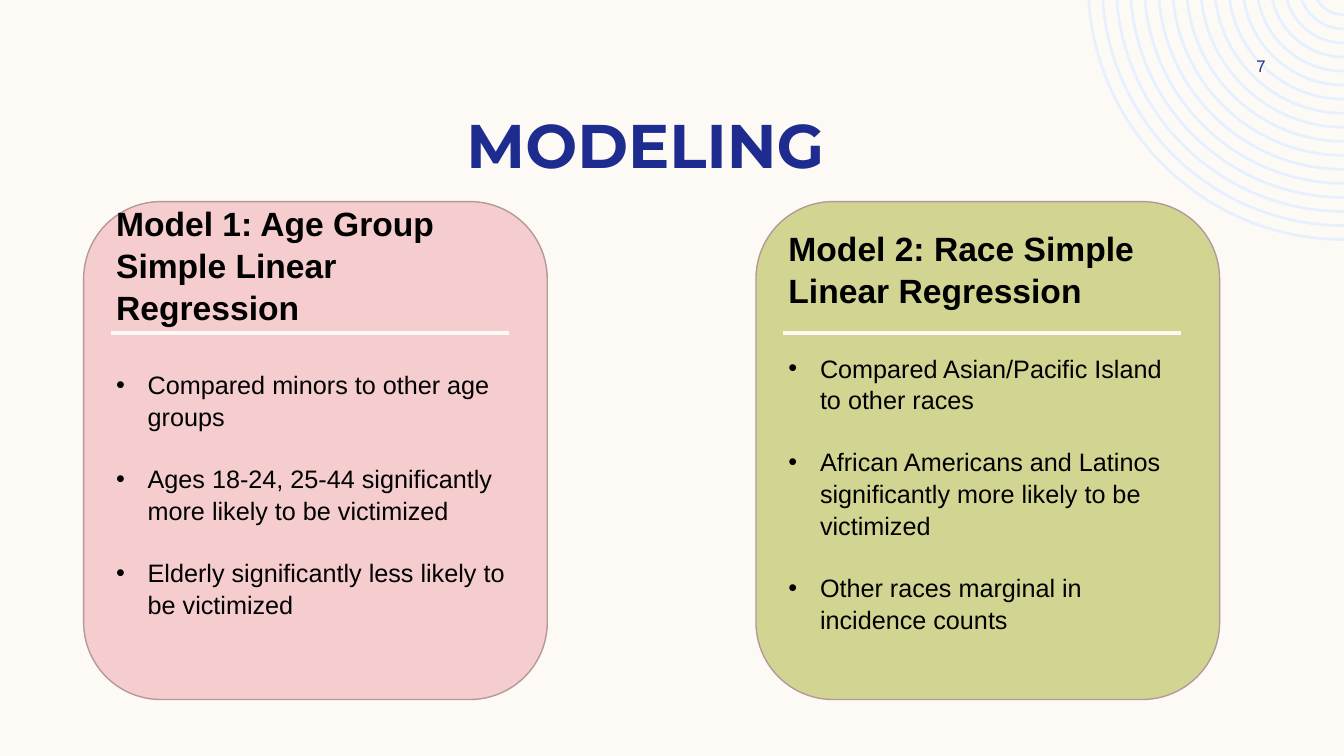
"""Build the MODELING slide comparing two regression models."""
import math

import pptx
import pptx.dml.color
import pptx.enum.shapes
import pptx.enum.text
import pptx.oxml
import pptx.oxml.ns
import pptx.util

Pt = pptx.util.Pt
PP_ALIGN = pptx.enum.text.PP_ALIGN
MIDDLE = pptx.enum.text.MSO_ANCHOR.MIDDLE
DRAWING_NS = pptx.oxml.ns.nsdecls("a")

TITLE = "MODELING"
PAGE_NUMBER = "7"
MODELS = [
    {
        "heading": "Model 1: Age Group Simple Linear Regression",
        "findings": [
            "Compared minors to other age groups",
            "Ages 18-24, 25-44 significantly more likely to be victimized",
            "Elderly significantly less likely to be victimized",
        ],
        "fill": "F5CDCE",
        "room_below": 58,
    },
    {
        "heading": "Model 2: Race Simple Linear Regression",
        "findings": [
            "Compared Asian/Pacific Island to other races",
            "African Americans and Latinos significantly more likely to be victimized",
            "Other races marginal in incidence counts",
        ],
        "fill": "D2D592",
        "room_below": 29,
    },
]

CREAM, NAVY, BLACK = "FDFAF6", "1F2C8F", "000000"
RING_BLUE, CARD_EDGE = "E6F0FE", "B59898"
SLIDE_W, SLIDE_H = 960, 540
CARD_LEFT, CARD_TOP, CARD_W, CARD_H, CARD_PITCH = 59.75, 144, 331.2, 355.7, 480.25
RULE_INSET, RULE_W, RULE_Y = 19.4, 284.4, 237.6
HEADING_GAP, FINDING_GAP, BULLET_INDENT, INSET = 29, 21.7, 22.5, 3.6
RING_COUNT, RING_RADIUS, RING_STEP, RING_THICKNESS = 17, 183.6, 10.03, 1.9
RING_X, RING_Y = 960, -11.5


def color(hex_code):
    return pptx.dml.color.RGBColor.from_string(hex_code)


def paint(target, hex_code):
    target.fill.solid()
    target.fill.fore_color.rgb = color(hex_code)


def write(paragraph, text, size=18, hue=BLACK, font="Arial", bold=False,
          align=PP_ALIGN.LEFT, before=0, bullet=False):
    run = paragraph.add_run()
    run.text = text
    run.font.size, run.font.name, run.font.bold = Pt(size), font, bold
    run.font.color.rgb = color(hue)
    paragraph.alignment = align
    paragraph.line_spacing = 1.05
    paragraph.space_before = Pt(before)
    if bullet:
        properties = paragraph._p.get_or_add_pPr()
        properties.set("marL", str(Pt(BULLET_INDENT)))
        properties.set("indent", str(-Pt(BULLET_INDENT)))
        for mark in ('buFont {} typeface="Arial"', 'buChar {} char="•"'):
            properties.append(pptx.oxml.parse_xml(f"<a:{mark.format(DRAWING_NS)}/>"))


def add_label(slide, left, top, width, height, text, **style):
    frame = slide.shapes.add_textbox(Pt(left), Pt(top), Pt(width), Pt(height)).text_frame
    frame.word_wrap = True
    frame.vertical_anchor = MIDDLE
    write(frame.paragraphs[0], text, align=PP_ALIGN.CENTER, **style)


def arc_controls(radius):
    start = math.asin(-RING_Y / radius)
    reach = radius * 4 / 3 * math.tan((math.pi / 2 - start) / 4)
    left = RING_X - radius * math.cos(start)
    bottom = RING_Y + radius
    controls = [
        (left, 0),
        (left + reach * math.sin(start), reach * math.cos(start)),
        (RING_X - reach, bottom),
        (RING_X, bottom),
    ]
    return [(Pt(x), Pt(y)) for x, y in controls]


def bend(first, second, end):
    curve = pptx.oxml.parse_xml(f"<a:cubicBezTo {DRAWING_NS}/>")
    first.addprevious(curve)
    for segment in (first, second, end):
        curve.append(segment[0])
        segment.getparent().remove(segment)


def add_rings(slide):
    bands = []
    for ring in range(RING_COUNT):
        radius = RING_RADIUS - ring * RING_STEP
        bands.append(arc_controls(radius) + arc_controls(radius - RING_THICKNESS)[::-1])
    builder = slide.shapes.build_freeform(*bands[0][0], scale=1.0)
    for index, band in enumerate(bands):
        if index:
            builder.move_to(*band[0])
        builder.add_line_segments(band[1:], close=True)
    rings = builder.convert_to_shape()
    segments = list(rings._element.iter(pptx.oxml.ns.qn("a:lnTo")))
    for first in range(0, len(segments), 7):
        bend(*segments[first:first + 3])
        bend(*segments[first + 4:first + 7])
    paint(rings, RING_BLUE)
    rings.line.fill.background()
    rings.shadow.inherit = False


def add_model(slide, left, model):
    card = slide.shapes.add_shape(pptx.enum.shapes.MSO_SHAPE.ROUNDED_RECTANGLE,
                                  Pt(left), Pt(CARD_TOP), Pt(CARD_W), Pt(CARD_H))
    card.shadow.inherit = False
    paint(card, model["fill"])
    card.line.color.rgb = color(CARD_EDGE)
    card.line.width = Pt(1)
    frame = card.text_frame
    frame.word_wrap = True
    frame.vertical_anchor = MIDDLE
    frame.margin_bottom = Pt(INSET + model["room_below"])
    write(frame.paragraphs[0], model["heading"], size=24, bold=True)
    for index, finding in enumerate(model["findings"]):
        write(frame.add_paragraph(), finding, bullet=True,
              before=FINDING_GAP if index else HEADING_GAP)

    rule_left = left + RULE_INSET
    rule = slide.shapes.add_connector(pptx.enum.shapes.MSO_CONNECTOR.STRAIGHT, Pt(rule_left),
                                      Pt(RULE_Y), Pt(rule_left + RULE_W), Pt(RULE_Y))
    rule.line.color.rgb = color(CREAM)
    rule.line.width = Pt(2.75)
    rule._element.spPr.append(pptx.oxml.parse_xml(f"<a:effectLst {DRAWING_NS}/>"))


def main():
    deck = pptx.Presentation()
    deck.slide_width, deck.slide_height = Pt(SLIDE_W), Pt(SLIDE_H)
    slide = deck.slides.add_slide(deck.slide_layouts[6])
    paint(slide.background, CREAM)
    add_rings(slide)
    add_label(slide, 41, 71.3, 840.2, 60.5, TITLE,
              size=44, hue=NAVY, font="Montserrat", bold=True)
    add_label(slide, 861.8, 36, 77.8, 21.6, PAGE_NUMBER, size=12, hue=NAVY)
    for index, model in enumerate(MODELS):
        add_model(slide, CARD_LEFT + index * CARD_PITCH, model)
    deck.save("out.pptx")


if __name__ == "__main__":
    main()
